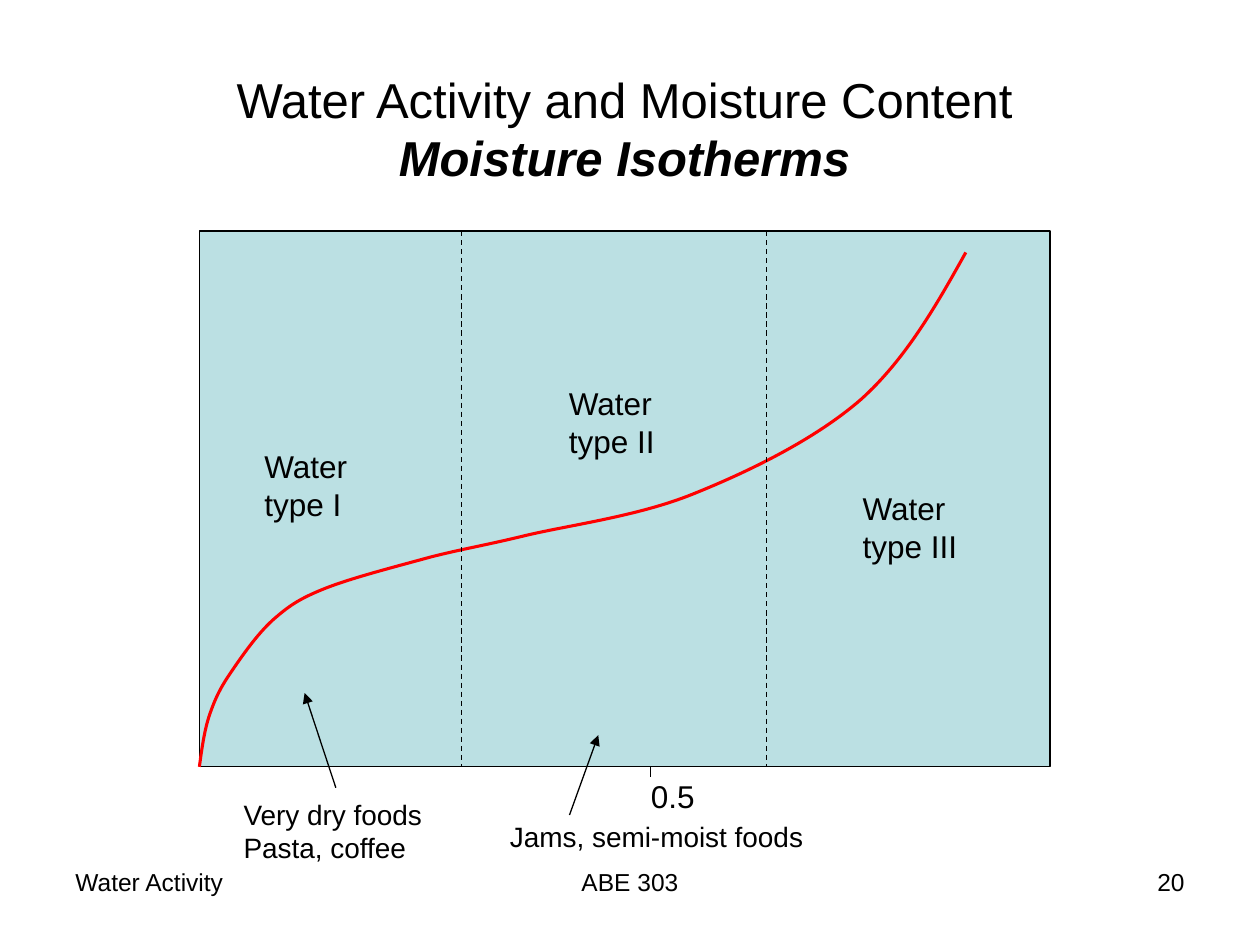
from lxml import etree
from pptx import Presentation
from pptx.dml import color
from pptx.enum import dml, shapes, text
from pptx.oxml import ns
from pptx.util import Cm, Pt

LEFT, CENTER, RIGHT = text.PP_ALIGN.LEFT, text.PP_ALIGN.CENTER, text.PP_ALIGN.RIGHT
BLACK, RED, PALE_BLUE = "000000", "FF0000", "BBE0E3"
ISOTHERM = [
    (0, 0),
    (0.05, 0.36), (0.1, 0.74), (0.21, 1.06),
    (0.32, 1.38), (0.42, 1.59), (0.64, 1.91),
    (0.85, 2.22), (1.16, 2.67), (1.48, 2.96),
    (1.8, 3.24), (2.01, 3.39), (2.54, 3.6),
    (3.07, 3.81), (3.97, 4.04), (4.66, 4.23),
    (5.33, 4.4), (5.69, 4.45), (6.56, 4.66),
    (7.43, 4.87), (8.84, 5.05), (9.95, 5.5),
    (11.07, 5.95), (12.41, 6.6), (13.34, 7.41),
    (14.24, 8.22), (14.86, 9.31), (15.45, 10.37),
]


def rgb(value):
    return color.RGBColor.from_string(value)


def add_text(slide, box, lines, size, align=LEFT, wrap=True, formats=()):
    tf = slide.shapes.add_textbox(*map(Cm, box)).text_frame
    tf.word_wrap = wrap
    for i, line in enumerate(lines):
        p = tf.paragraphs[0] if i == 0 else tf.add_paragraph()
        p.alignment = align
        r = p.add_run()
        r.text = line
        r.font.color.rgb = rgb(BLACK)
        values = {"name": "Arial", "size": Pt(size)}
        if i < len(formats):
            values.update(formats[i])
        for name, value in values.items():
            setattr(r.font, name, value)


def set_line(sp, value, width):
    sp.line.color.rgb = rgb(value)
    sp.line.width = Pt(width)


def add_line(slide, start, end, dash=None, arrow=False):
    sp = slide.shapes.add_connector(
        shapes.MSO_CONNECTOR.STRAIGHT, *map(Cm, (*start, *end)))
    set_line(sp, BLACK, 0.75)
    if dash:
        sp.line.dash_style = dash
    if arrow:
        etree.SubElement(sp.line._get_or_add_ln(), ns.qn("a:tailEnd"), type="triangle")
    etree.SubElement(sp._element.spPr, ns.qn("a:effectLst"))


def add_curve(slide, points):
    start, *rest = [(Cm(x), Cm(y)) for x, y in points]
    builder = slide.shapes.build_freeform(*start)
    builder.add_line_segments(rest, close=False)
    sp = builder.convert_to_shape()
    sp.shadow.inherit = False
    sp.fill.background()
    set_line(sp, RED, 1.75)
    outline = sp._element.find(".//" + ns.qn("a:path"))
    segments = outline.findall(ns.qn("a:lnTo"))
    for i in range(0, len(segments), 3):
        curve = etree.SubElement(outline, ns.qn("a:cubicBezTo"))
        for segment in segments[i:i + 3]:
            curve.append(segment[0])
            outline.remove(segment)


def add_title(slide, box):
    lines = ["Water Activity and Moisture Content", "Moisture Isotherms"]
    add_text(slide, box, lines, 28, CENTER, False, [{}, {"bold": True, "italic": True}])


def add_isotherm(slide, box):
    left, top, width, height = box

    def at(x, y):
        return left + x, top + y

    sp = slide.shapes.add_shape(shapes.MSO_SHAPE.RECTANGLE, *map(Cm, box))
    sp.shadow.inherit = False
    sp.fill.solid()
    sp.fill.fore_color.rgb = rgb(PALE_BLUE)
    set_line(sp, BLACK, 0.75)
    add_curve(slide, [at(x, height - y) for x, y in ISOTHERM])
    for x in (5.29, 11.43):
        add_line(slide, at(x, 0), at(x, height), dash=dml.MSO_LINE.DASH)
    for x, y, w, kind in ((1.06, 4.23, 2.21, "I"), (7.2, 2.96, 2.24, "II"),
                          (13.12, 5.08, 2.41, "III")):
        add_text(slide, (*at(x, y), w, 1.78), ["Water", f"type {kind}"], 18, wrap=False)
    add_line(slide, at(9.1, height), at(9.1, height + 0.21))
    add_text(slide, (*at(8.85, 10.88), 1.4, 1.02), ["0.5"], 18, wrap=False)
    examples = [
        ((2.75, 11.22), (2.12, 9.31), (0.64, 11.29), (4.47, 1.63),
         ["Very dry foods", "Pasta, coffee"]),
        ((7.46, 11.77), (8.04, 10.16), (6.01, 11.73), (6.55, 0.94),
         ["Jams, semi-moist foods"]),
    ]
    for start, end, corner, size, lines in examples:
        add_line(slide, at(*start), at(*end), arrow=True)
        add_text(slide, (*at(*corner), *size), lines, 16)


def add_footer(slide, box):
    left, top, width, height = box
    side, middle = 5.93, 8.04
    parts = [
        (left, side, "Water Activity", LEFT),
        (left + (width - middle) / 2, middle, "ABE 303", CENTER),
        (left + width - side, side, "20", RIGHT),
    ]
    for x, w, line, align in parts:
        add_text(slide, (x, top, w, height), [line], 14, align)


def main():
    prs = Presentation()
    prs.slide_width, prs.slide_height = Cm(25.4), Cm(19.05)
    slide = prs.slides.add_slide(prs.slide_layouts[6])
    add_footer(slide, (1.27, 17.35, 22.86, 1.32))
    add_title(slide, (4.45, 1.27, 16.28, 2.62))
    add_isotherm(slide, (4.02, 4.66, 17.15, 10.8))
    prs.save("out.pptx")


if __name__ == "__main__":
    main()
